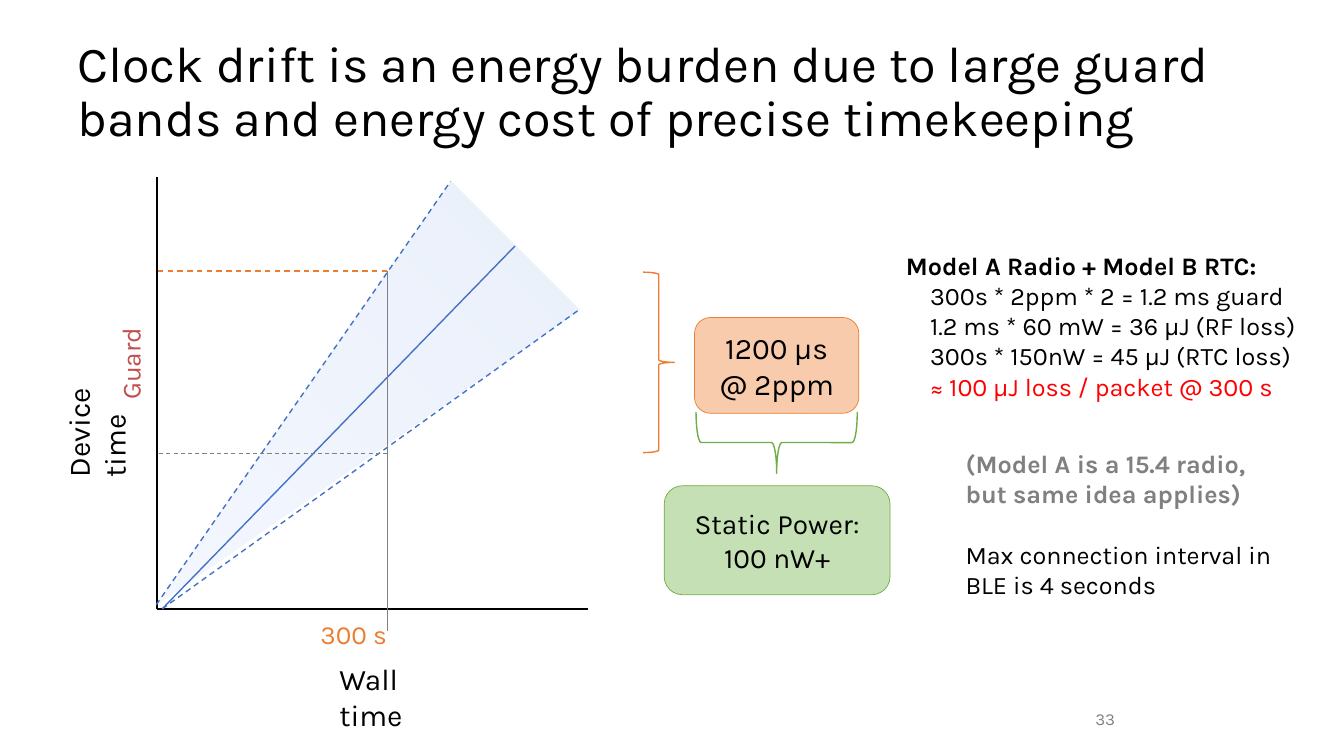
import pptx
import pptx.dml.color
import pptx.enum.dml
import pptx.enum.shapes
import pptx.enum.text
import pptx.oxml
import pptx.util

Pt = pptx.util.Pt
RGB = pptx.dml.color.RGBColor.from_string
Shape = pptx.enum.shapes.MSO_SHAPE
Align = pptx.enum.text.PP_ALIGN
Anchor = pptx.enum.text.MSO_ANCHOR
DASH = pptx.enum.dml.MSO_LINE.DASH
NAMESPACE = 'xmlns:a="http://schemas.openxmlformats.org/drawingml/2006/main"'
COLORS = {
    "black": "000000", "gray": "808080", "red": "FF0000", "guard": "C0504D",
    "blue": "4472C4", "orange": "ED7D31", "green": "70AD47",
    "peach": "F8CBAD", "mint": "C5E0B4",
    "cone_base": "316DD7", "cone_tip": "A6BBFF",
}


def write(shape, text, size, color="black", align=Align.LEFT, anchor=Anchor.TOP):
    """Fill a shape with text, one paragraph a line, all in one style."""
    frame = shape.text_frame
    frame.text = text
    frame.word_wrap = True
    frame.auto_size = pptx.enum.text.MSO_AUTO_SIZE.NONE
    frame.vertical_anchor = anchor
    for paragraph in frame.paragraphs:
        paragraph.alignment = align
        for run in paragraph.runs:
            run.font.name = "Karla"
            run.font.size = Pt(size)
            run.font.color.rgb = RGB(COLORS[color])
    return frame.paragraphs


def add_outlined(kind, left, top, width, height, line, line_width, fill=None):
    shape = slide.shapes.add_shape(kind, Pt(left), Pt(top), Pt(width), Pt(height))
    shape.shadow.inherit = False
    shape.line.color.rgb = RGB(COLORS[line])
    shape.line.width = Pt(line_width)
    if fill:
        shape.fill.solid()
        shape.fill.fore_color.rgb = RGB(COLORS[fill])
    else:
        shape.fill.background()
    return shape


presentation = pptx.Presentation()
presentation.slide_width, presentation.slide_height = Pt(960), Pt(540)
slide = presentation.slides.add_slide(presentation.slide_layouts[5])

# Title
title = slide.shapes.title
title.left, title.top, title.width, title.height = Pt(48), Pt(21.6), Pt(864), Pt(90)
write(title, "Clock drift is an energy burden due to large guard bands "
      "and energy cost of precise timekeeping", 36, anchor=Anchor.MIDDLE)
title.text_frame.paragraphs[0].line_spacing = 0.9

# Cone of possible device times
cone = slide.shapes.add_shape(Shape.ISOSCELES_TRIANGLE, Pt(175), Pt(122.4), Pt(129.6), Pt(362.9))
cone.rotation = 225
cone.shadow.inherit = False
cone.line.fill.background()
cone.fill.gradient()
cone.fill.gradient_angle = 90
for stop, color in zip(cone.fill.gradient_stops, ("cone_base", "cone_tip")):
    stop.color.rgb = RGB(COLORS[color])
for color_element in cone.fill._xPr.iter("{*}srgbClr"):
    color_element.append(pptx.oxml.parse_xml(f'<a:alpha {NAMESPACE} val="9000"/>'))

# Axes, drift lines and guide lines
origin_x, origin_y = 112.3, 434.9
wall_x, early_y, late_y = 276.5, 193.7, 324
for x1, y1, x2, y2, color, width, dashed in (
    (origin_x, origin_y, 419.8, origin_y, "black", 1, False),
    (origin_x, origin_y, origin_x, 126.7, "black", 1, False),
    (115.9, origin_y, 367.9, 175.7, "blue", 1, False),
    (115.9, origin_y, 414, 221, "blue", 1, True),
    (111.6, 432, 321.8, 129.6, "blue", 1, True),
    (wall_x, 450.7, wall_x, early_y, "gray", 0.75, False),
    (wall_x, early_y, origin_x, early_y, "orange", 1, True),
    (wall_x, late_y, 113.8, late_y, "gray", 0.75, True),
):
    line = slide.shapes.add_connector(
        pptx.enum.shapes.MSO_CONNECTOR.STRAIGHT, Pt(x1), Pt(y1), Pt(x2), Pt(y2))
    line.line.color.rgb = RGB(COLORS[color])
    line.line.width = Pt(width)
    if dashed:
        line.line.dash_style = DASH
    line._element.spPr.append(pptx.oxml.parse_xml(f"<a:effectLst {NAMESPACE}/>"))

# Chart labels
for text, left, top, width, height, size, color, rotation in (
    ("Wall time", 235.4, 468.7, 100, 33, 21.3, "black", 0),
    ("Device time", -4.2, 271.5, 120, 33, 21.3, "black", 270),
    ("300 s", 221.8, 437.8, 100.8, 30.2, 18.7, "orange", 0),
    ("Guard", 54, 238.3, 78.5, 30.2, 18.7, "guard", 270),
):
    label = slide.shapes.add_textbox(Pt(left), Pt(top), Pt(width), Pt(height))
    label.rotation = rotation
    write(label, text, size, color)

# Guard band and static power
add_outlined(Shape.RIGHT_BRACE, 459.4, 194.4, 22.3, 128.9, "orange", 1)
power_brace = add_outlined(Shape.RIGHT_BRACE, 532.8, 258.5, 43.9, 115.2, "green", 1)
power_brace.rotation = 90
for text, left, top, width, height, size, line_color, fill in (
    ("1200 μs\n@ 2ppm", 496.1, 226.8, 117.4, 68.4, 21.3, "orange", "peach"),
    ("Static Power:\n100 nW+", 474.5, 347, 161.3, 77.8, 20, "green", "mint"),
):
    box = add_outlined(Shape.ROUNDED_RECTANGLE, left, top, width, height, line_color, 0.5, fill)
    write(box, text, size, align=Align.CENTER, anchor=Anchor.MIDDLE)

# Energy budget
budget = slide.shapes.add_textbox(Pt(640), Pt(175), Pt(318), Pt(116.6))
heading, *items = write(budget, "\n".join((
    "Model A Radio + Model B RTC:",
    "300s * 2ppm * 2 = 1.2 ms guard",
    "1.2 ms * 60 mW = 36 μJ (RF loss)",
    "300s * 150nW = 45 μJ (RTC loss)",
    "≈ 100 μJ loss / packet @ 300 s",
)), 18)
budget.text_frame.word_wrap = False
heading.runs[0].font.bold = True
for item in items:
    item._p.get_or_add_pPr().set("marL", str(Pt(17.25)))
items[-1].runs[0].font.color.rgb = RGB(COLORS["red"])

# Side remarks
remarks = slide.shapes.add_textbox(Pt(682.6), Pt(316.8), Pt(245.5), Pt(116.6))
radio, interval = write(
    remarks, "(Model A is a 15.4 radio, but same idea applies)\n"
    "Max connection interval in BLE is 4 seconds", 18)
radio.runs[0].font.bold = True
radio.runs[0].font.color.rgb = RGB(COLORS["gray"])
interval.space_before = Pt(21.6)

# Slide number
number = slide.shapes.add_textbox(Pt(635.8), Pt(499), Pt(167.8), Pt(28.8))
write(number, "33", 12, "gray", Align.RIGHT, Anchor.MIDDLE)

presentation.save("out.pptx")
